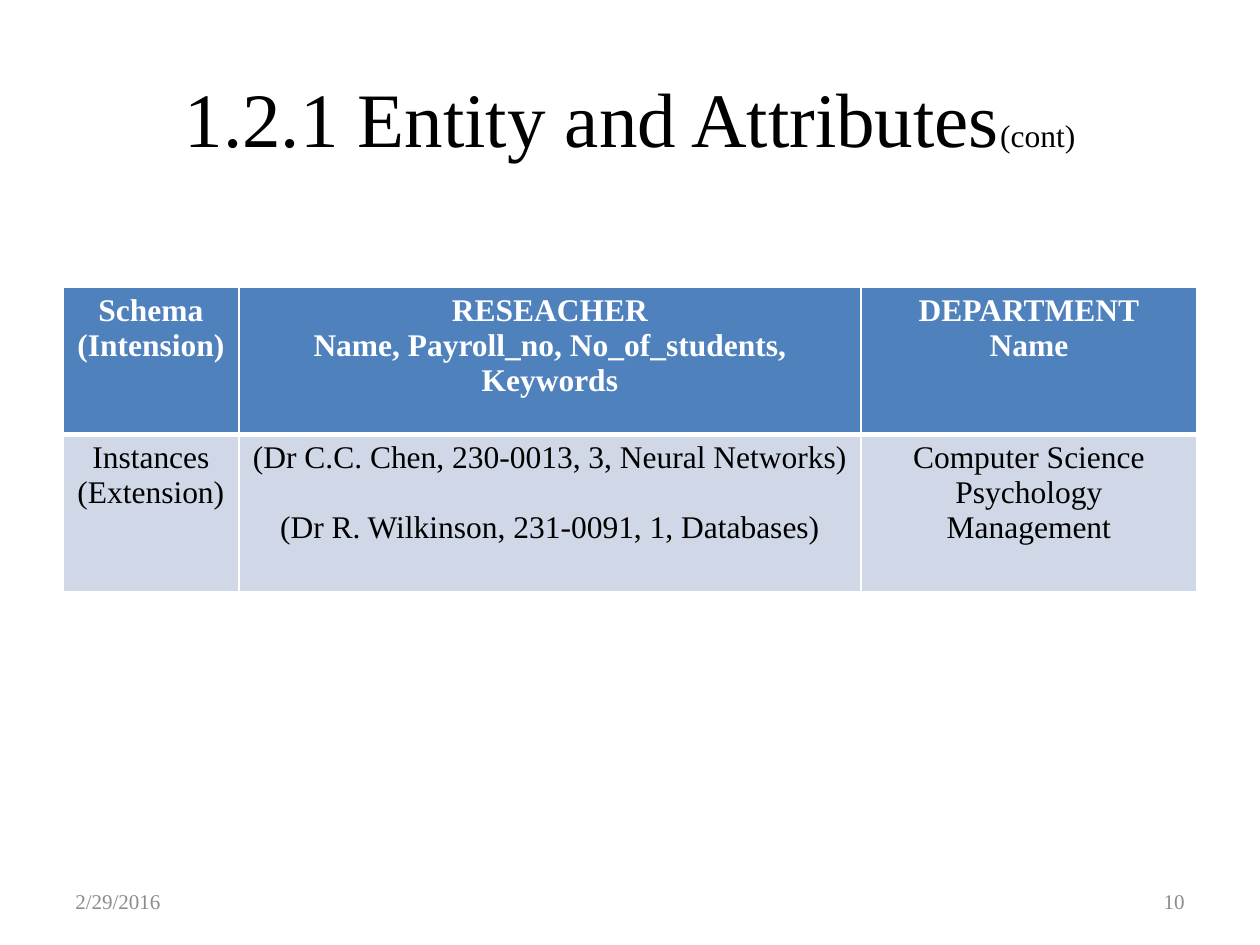
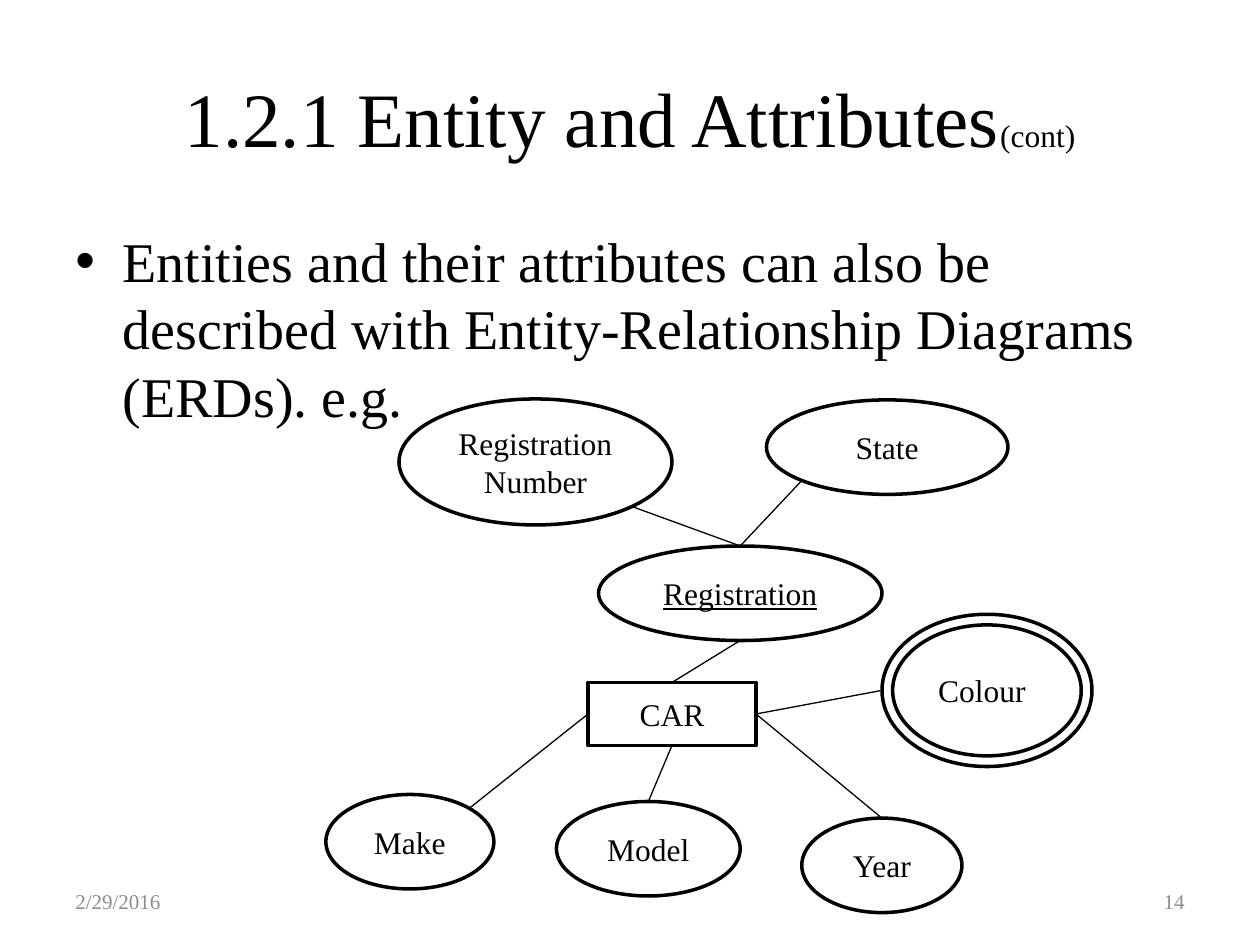
import pptx
import pptx.dml.color
import pptx.enum.shapes
import pptx.enum.text
import pptx.oxml.ns
import pptx.util
from dataclasses import dataclass
from lxml import etree

Pt = pptx.util.Pt
SHAPE = pptx.enum.shapes.MSO_SHAPE
ALIGN = pptx.enum.text.PP_ALIGN
ANCHOR = pptx.enum.text.MSO_ANCHOR
qn = pptx.oxml.ns.qn


@dataclass(frozen=True)
class Theme:
    """Colours, font, type sizes and line widths of the deck."""
    font: str = "Times New Roman"
    ink: str = "000000"
    paper: str = "FFFFFF"
    muted: str = "8C8C8C"
    header: str = "4F81BD"
    band: str = "D0D8E8"
    title: float = 44
    body: float = 32
    label: float = 18
    footer: float = 12
    outline: float = 2
    link: float = 0.75


T = Theme()
BLANK_LAYOUT = 6
MARGIN, CONTENT_W = 36, 648
DATE = "2/29/2016"

# Unit directions from a shape's centre to its connection sites
DIAG = 0.5 ** 0.5
TOP, BOTTOM, LEFT, RIGHT = (0, -1), (0, 1), (-1, 0), (1, 0)
TOP_RIGHT, BOTTOM_LEFT, BOTTOM_RIGHT = (DIAG, -DIAG), (-DIAG, DIAG), (DIAG, DIAG)

HEADER_ROW = [
    ["Schema (Intension)"],
    ["RESEACHER", "Name, Payroll_no, No_of_students,", "Keywords"],
    ["DEPARTMENT", "Name"],
]
INSTANCE_ROW = [
    ["Instances (Extension)"],
    ["(Dr C.C. Chen, 230-0013, 3, Neural Networks)",
     "(Dr R. Wilkinson, 231-0091, 1, Databases)"],
    ["Computer Science", "Psychology", "Management"],
]

# name: (preset, left, top, width, height, lines of text)
NODES = {
    "number": (SHAPE.OVAL, 228, 228, 156, 72, ["Registration", "Number"]),
    "registration": (SHAPE.OVAL, 342, 312, 162, 54, ["Registration"]),
    "state": (SHAPE.OVAL, 438, 228.5, 138, 54, ["State"]),
    "make": (SHAPE.OVAL, 186.2, 454, 96, 54, ["Make"]),
    "model": (SHAPE.OVAL, 318, 458, 105, 54, ["Model"]),
    "year": (SHAPE.OVAL, 458.2, 467.5, 91.5, 54, ["Year"]),
    "colour": (SHAPE.DONUT, 504, 351, 120, 87, []),
    "car": (SHAPE.RECTANGLE, 336, 390, 96, 36, ["CAR"]),
}
KEY_NODE = "registration"
LINKS = [
    ("state", BOTTOM_LEFT, "registration", TOP),
    ("number", BOTTOM_RIGHT, "registration", TOP),
    ("registration", BOTTOM, "car", TOP),
    ("car", LEFT, "make", TOP_RIGHT),
    ("car", BOTTOM, "model", TOP),
    ("car", RIGHT, "year", TOP),
    ("car", RIGHT, "colour", LEFT),
]


def rgb(value):
    """Turn a hex string into a colour."""
    return pptx.dml.color.RGBColor.from_string(value)


def add_run(p, text, size=T.label, color=T.ink, bold=False, underline=False):
    """Append formatted text to a paragraph."""
    r = p.add_run()
    r.text = text
    f = r.font
    f.name, f.size, f.bold, f.underline = T.font, Pt(size), bold, underline
    f.color.rgb = rgb(color)


def write_lines(tf, lines, align=ALIGN.CENTER, gap=0, **fmt):
    """Write one paragraph per line, with a gap between paragraphs."""
    for i, line in enumerate(lines):
        p = tf.add_paragraph() if i else tf.paragraphs[0]
        p.alignment = align
        if i and gap:
            p.space_before = Pt(gap)
        add_run(p, line, **fmt)


def add_textbox(s, left, top, width, height, anchor=ANCHOR.TOP):
    """Add a wrapping text box and return its text frame."""
    sp = s.shapes.add_textbox(Pt(left), Pt(top), Pt(width), Pt(height))
    tf = sp.text_frame
    tf.word_wrap = True
    tf.vertical_anchor = anchor
    return tf


def add_slide(prs, number):
    """Add a slide with the shared title, date and page number."""
    s = prs.slides.add_slide(prs.slide_layouts[BLANK_LAYOUT])
    tf = add_textbox(s, MARGIN, 21.6, CONTENT_W, 90, ANCHOR.MIDDLE)
    write_lines(tf, ["1.2.1 Entity and Attributes"], size=T.title)
    add_run(tf.paragraphs[0], "(cont)")
    for left, text, align in ((MARGIN, DATE, ALIGN.LEFT),
                              (516, str(number), ALIGN.RIGHT)):
        tf = add_textbox(s, left, 500.5, 168, 28.8, ANCHOR.MIDDLE)
        write_lines(tf, [text], align, size=T.footer, color=T.muted)
    return s


def set_borders(cell, **widths):
    """Give a cell solid paper-coloured borders, keyed L, R, T, B."""
    tcPr = cell._tc.get_or_add_tcPr()
    for i, (side, width) in enumerate(widths.items()):
        ln = etree.Element(qn("a:ln" + side), w=str(Pt(width)))
        fill = etree.SubElement(ln, qn("a:solidFill"))
        etree.SubElement(fill, qn("a:srgbClr"), val=T.paper)
        tcPr.insert(i, ln)


def add_schema_table(s):
    """Add the table of schemas and their instances."""
    col_widths, row_heights = (100.5, 355.5, 192), (84, 90)
    tbl = s.shapes.add_table(2, 3, Pt(MARGIN), Pt(164.2), Pt(CONTENT_W),
                             Pt(sum(row_heights))).table
    for col, width in zip(tbl.columns, col_widths):
        col.width = Pt(width)
    for row, height in zip(tbl.rows, row_heights):
        row.height = Pt(height)
    styles = ((HEADER_ROW, T.header, T.paper, True, 1, 3),
              (INSTANCE_ROW, T.band, T.ink, False, 3, 1))
    for i, (texts, fill, color, bold, top, bottom) in enumerate(styles):
        for j, lines in enumerate(texts):
            cell = tbl.cell(i, j)
            cell.fill.solid()
            cell.fill.fore_color.rgb = rgb(fill)
            set_borders(cell, L=1, R=1, T=top, B=bottom)
            # The two researchers stand one line apart
            gap = 20 if (i, j) == (1, 1) else 0
            write_lines(cell.text_frame, lines, gap=gap, color=color, bold=bold)


def add_bullet(s, text):
    """Add the bulleted body text."""
    tf = add_textbox(s, MARGIN, 126, CONTENT_W, 356.4)
    write_lines(tf, [text], ALIGN.LEFT, size=T.body)
    p = tf.paragraphs[0]
    p.space_before = Pt(6.4)
    pPr = p._p.get_or_add_pPr()
    pPr.set("marL", str(Pt(27)))
    pPr.set("indent", str(Pt(-27)))
    etree.SubElement(pPr, qn("a:buFont"), typeface="Arial")
    etree.SubElement(pPr, qn("a:buChar"), char="•")


def add_node(s, name):
    """Add one outlined shape of the diagram."""
    preset, left, top, width, height, lines = NODES[name]
    sp = s.shapes.add_shape(preset, Pt(left), Pt(top), Pt(width), Pt(height))
    sp.shadow.inherit = False
    sp.fill.background()
    sp.line.color.rgb = rgb(T.ink)
    sp.line.width = Pt(T.outline)
    if preset == SHAPE.DONUT:
        sp.adjustments[0] = 0.07
    sp.text_frame.vertical_anchor = ANCHOR.MIDDLE
    write_lines(sp.text_frame, lines, underline=name == KEY_NODE)


def site(name, direction):
    """Return the point of a node's outline in the given direction."""
    _, left, top, width, height, _ = NODES[name]
    dx, dy = direction
    return Pt(left + width / 2 * (1 + dx)), Pt(top + height / 2 * (1 + dy))


def add_link(s, start, start_dir, end, end_dir):
    """Join two nodes with a thin straight line."""
    cx = s.shapes.add_connector(pptx.enum.shapes.MSO_CONNECTOR.STRAIGHT,
                                *site(start, start_dir), *site(end, end_dir))
    cx.line.color.rgb = rgb(T.ink)
    cx.line.width = Pt(T.link)
    etree.SubElement(cx._element.spPr, qn("a:effectLst"))


def add_car_diagram(s):
    """Draw the car entity with its attributes."""
    for name in NODES:
        add_node(s, name)
    tf = add_textbox(s, 529, 380, 69, 29)
    write_lines(tf, ["Colour"], ALIGN.LEFT)
    for link in LINKS:
        add_link(s, *link)


def main():
    """Build both slides and save the deck."""
    prs = pptx.Presentation()
    prs.slide_width, prs.slide_height = Pt(720), Pt(540)
    add_schema_table(add_slide(prs, 10))
    s = add_slide(prs, 14)
    add_bullet(s, "Entities and their attributes can also be described with "
                  "Entity-Relationship Diagrams (ERDs). e.g.")
    add_car_diagram(s)
    prs.save("out.pptx")


main()
